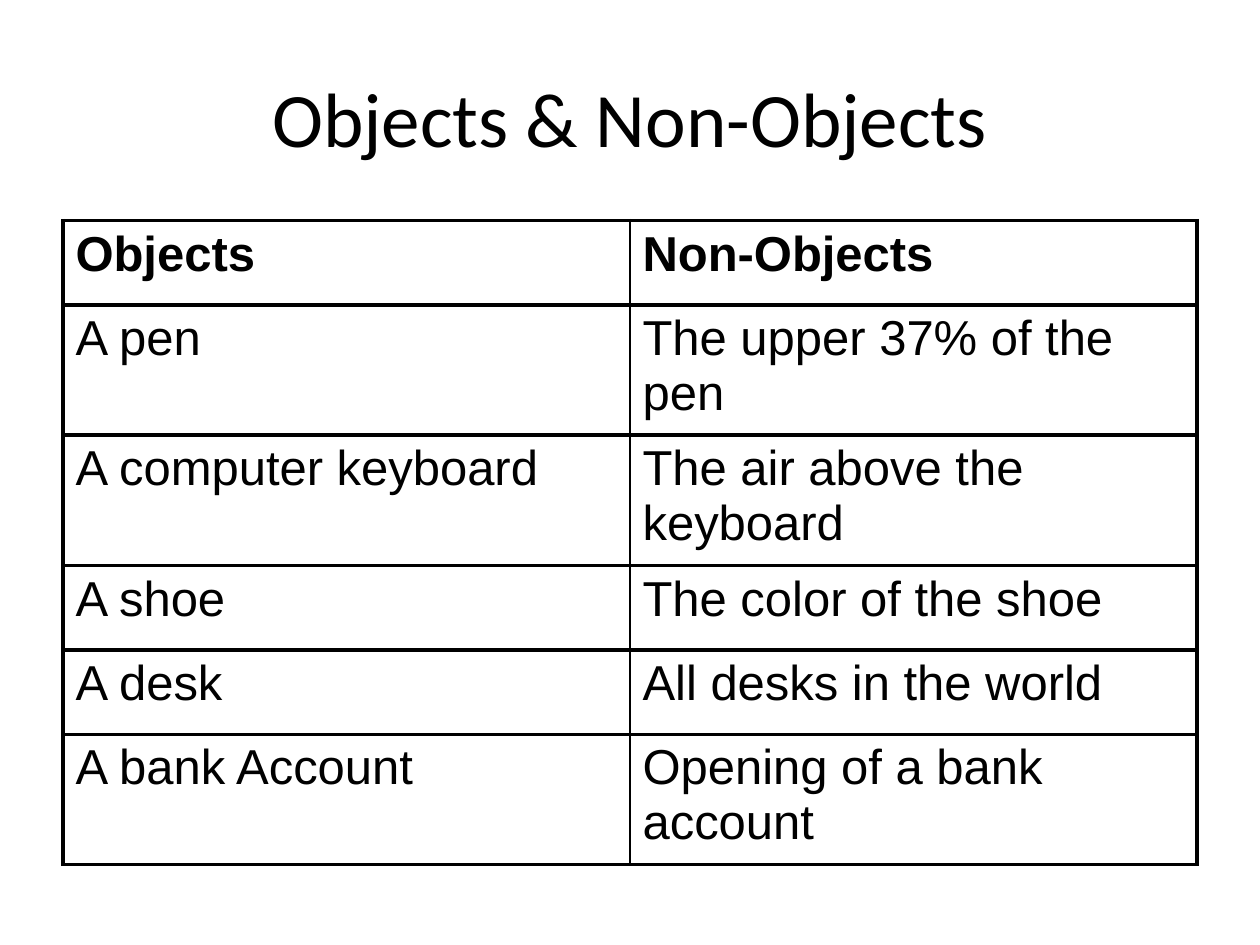
"""Build a slide that contrasts objects with non-objects in a table."""
from lxml.etree import SubElement
from pptx import Presentation
from pptx.dml.color import RGBColor
from pptx.enum.text import MSO_ANCHOR, PP_ALIGN
from pptx.oxml.ns import qn
from pptx.util import Inches, Pt

BLACK = RGBColor(0, 0, 0)
WHITE = RGBColor(255, 255, 255)
THICK, THIN = 2.25, 1
ROWS = [
    ("Objects", "Non-Objects", 0.67),
    ("A pen", "The upper 37% of the pen", 1.03),
    ("A computer keyboard", "The air above the keyboard", 1.03),
    ("A shoe", "The color of the shoe", 0.67),
    ("A desk", "All desks in the world", 0.67),
    ("A bank Account", "Opening of a bank account", 1.03),
]


def add_run(p, text, font, size, bold=False):
    r = p.add_run()
    r.text = text
    r.font.name = font
    r.font.size = Pt(size)
    r.font.bold = bold
    r.font.color.rgb = BLACK


def add_title(s, text):
    sp = s.shapes.add_textbox(Inches(0.5), Inches(0.3), Inches(9), Inches(1.25))
    tf = sp.text_frame
    tf.word_wrap = True
    tf.vertical_anchor = MSO_ANCHOR.MIDDLE
    p = tf.paragraphs[0]
    p.alignment = PP_ALIGN.CENTER
    add_run(p, text, "Calibri", 44)


def set_borders(cell, left, right):
    tcPr = cell._tc.get_or_add_tcPr()
    widths = {"a:lnL": left, "a:lnR": right, "a:lnT": THICK, "a:lnB": THICK}
    for tag, width in widths.items():
        ln = SubElement(tcPr, qn(tag), w=str(Pt(width)))
        fill = SubElement(ln, qn("a:solidFill"))
        SubElement(fill, qn("a:srgbClr"), val=str(BLACK))


def fill_cell(cell, text, bold, left, right):
    set_borders(cell, left, right)
    cell.fill.solid()
    cell.fill.fore_color.rgb = WHITE
    add_run(cell.text_frame.paragraphs[0], text, "Arial", 28, bold)


def add_comparison(s):
    height = sum(row[2] for row in ROWS)
    table = s.shapes.add_table(len(ROWS), 2, Inches(0.5), Inches(1.75),
                               Inches(9), Inches(height)).table
    table.first_row = False
    table.horz_banding = False
    for i, (thing, non_object, row_height) in enumerate(ROWS):
        table.rows[i].height = Inches(row_height)
        fill_cell(table.cell(i, 0), thing, i == 0, THICK, THIN)
        fill_cell(table.cell(i, 1), non_object, i == 0, THIN, THICK)


def main():
    prs = Presentation()
    prs.slide_width, prs.slide_height = Inches(10), Inches(7.5)
    s = prs.slides.add_slide(prs.slide_layouts[6])
    add_title(s, "Objects & Non-Objects")
    add_comparison(s)
    prs.save("out.pptx")


main()
